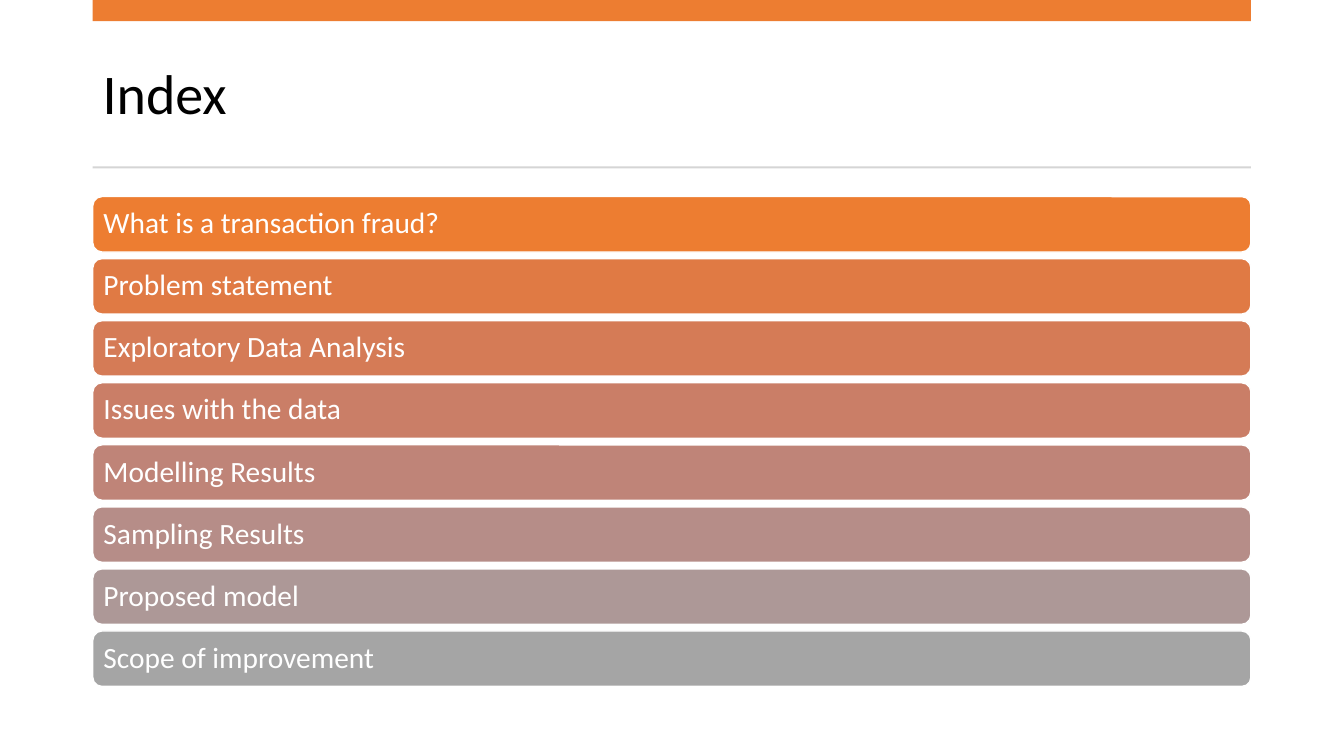
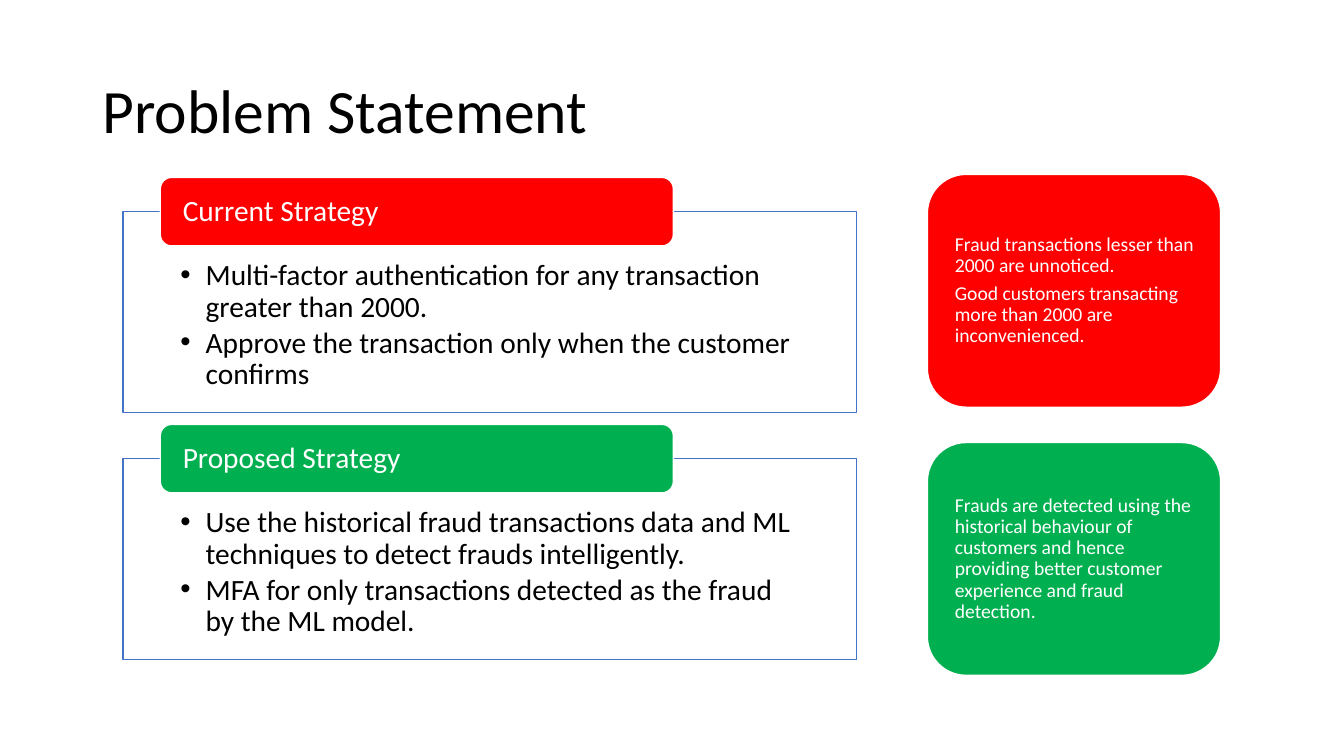
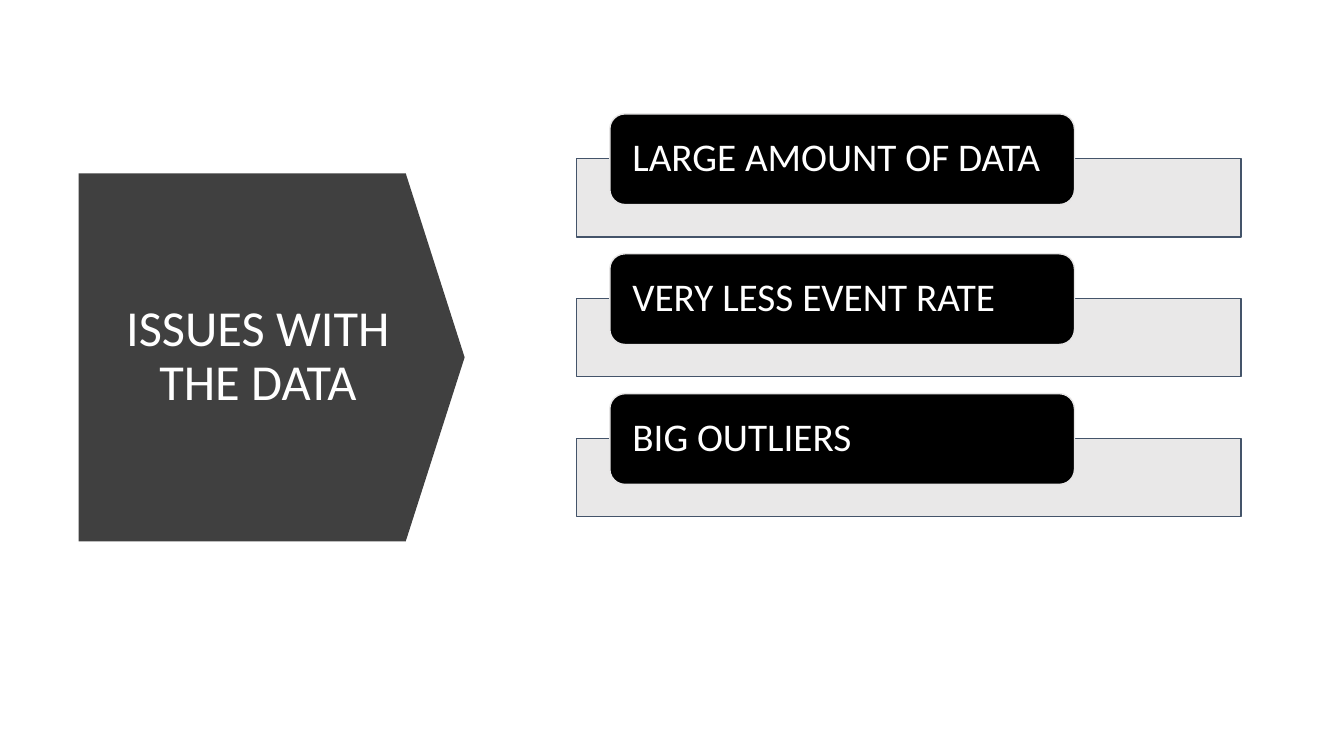
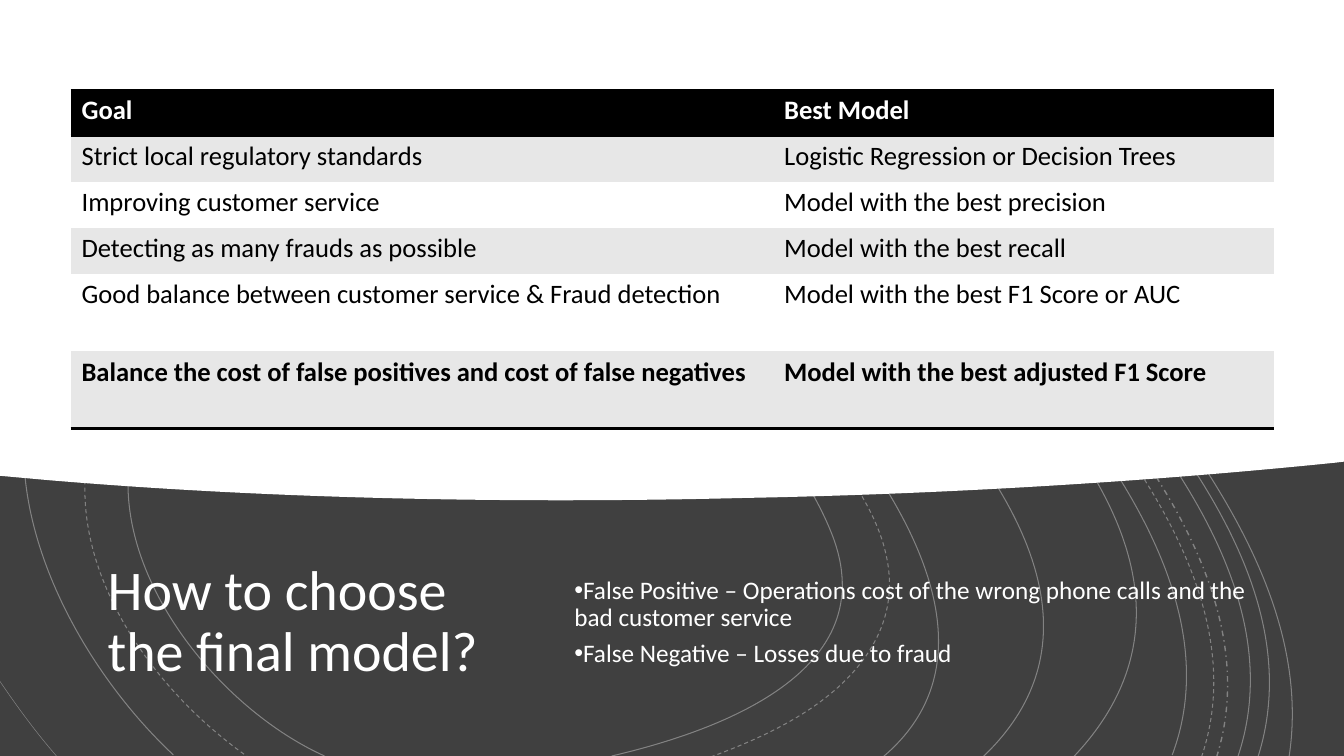
from lxml.etree import SubElement
from pptx import Presentation
from pptx.dml.color import RGBColor
from pptx.enum.dml import MSO_LINE
from pptx.enum.shapes import MSO_SHAPE
from pptx.enum.text import MSO_ANCHOR, PP_ALIGN
from pptx.oxml.ns import qn
from pptx.util import Pt

SCALE = 9144
FONT = "Calibri"
BLACK = RGBColor(0x00, 0x00, 0x00)
WHITE = RGBColor(0xFF, 0xFF, 0xFF)
CHARCOAL = RGBColor(0x40, 0x40, 0x40)
ORANGE = RGBColor(0xED, 0x7D, 0x31)
RULE_GRAY = RGBColor(0xD5, 0xD5, 0xD5)
RED = RGBColor(0xFF, 0x00, 0x00)
GREEN = RGBColor(0x00, 0xB0, 0x50)
BLUE = RGBColor(0x44, 0x72, 0xC4)
SLATE = RGBColor(0x44, 0x54, 0x6A)
PALE = RGBColor(0xE7, 0xE6, 0xE6)
BAND = RGBColor(0xE7, 0xE7, 0xE7)
NO_STYLE = "{2D5ABB26-0587-4C30-8999-92F81FD0307C}"
PAGE_WIDTH, PAGE_HEIGHT = 1333.33, 750

INDEX = [
    ("What is a transaction fraud?", ORANGE),
    ("Problem statement", RGBColor(0xE0, 0x7A, 0x44)),
    ("Exploratory Data Analysis", RGBColor(0xD5, 0x7B, 0x56)),
    ("Issues with the data", RGBColor(0xCA, 0x7E, 0x67)),
    ("Modelling Results", RGBColor(0xBF, 0x84, 0x78)),
    ("Sampling Results", RGBColor(0xB6, 0x8D, 0x88)),
    ("Proposed model", RGBColor(0xAD, 0x98, 0x97)),
    ("Scope of improvement", RGBColor(0xA5, 0xA5, 0xA5)),
]
STRATEGIES = [
    ("Current Strategy", RED, 176, 173,
     ["Multi-factor authentication for any transaction greater than 2000.",
      "Approve the transaction only when the customer confirms"],
     ["Fraud transactions lesser than 2000 are unnoticed.",
      "Good customers transacting more than 2000 are inconvenienced."]),
    ("Proposed Strategy", GREEN, 421, 439,
     ["Use the historical fraud transactions data and ML techniques to detect frauds intelligently.",
      "MFA for only transactions detected as the fraud by the ML model."],
     ["Frauds are detected using the historical behaviour of customers and hence "
      "providing better customer experience and fraud detection."]),
]
ISSUES = ["LARGE AMOUNT OF DATA", "VERY LESS EVENT RATE", "BIG OUTLIERS"]
MODELS = [
    ("Goal", "Best Model"),
    ("Strict local regulatory standards", "Logistic Regression or Decision Trees"),
    ("Improving customer service", "Model with the best precision"),
    ("Detecting as many frauds as possible", "Model with the best recall"),
    ("Good balance between customer service & Fraud detection", "Model with the best F1 Score or AUC"),
    ("Balance the cost of false positives and cost of false negatives", "Model with the best adjusted F1 Score"),
]
COLUMN_WIDTHS = [697, 497]
ROW_HEIGHTS = [45.6, 45.6, 45.6, 45.6, 76.8, 76.8]
COSTS = [
    "False Positive – Operations cost of the wrong phone calls and the bad customer service",
    "False Negative – Losses due to fraud",
]
SOLID, DASH, DASH_DOT = MSO_LINE.SOLID, MSO_LINE.DASH, MSO_LINE.DASH_DOT
CONTOURS = [
    (SOLID, 0.75, [(876, 751), (1025, 625), (835, 409), (738, 315), (649, 230), (536, 164), (412, 153),
                   (287, 141), (141, 208), (68, 307), (-36, 447), (60, 644), (172, 749)]),
    (SOLID, 0.75, [(607, 750), (710, 726), (880, 667), (825, 529), (773, 399), (615, 278), (480, 248),
                   (357, 220), (216, 281), (151, 391), (73, 524), (200, 695), (322, 750)]),
    (DASH, 0.75, [(705, 751), (765, 729), (835, 696), (867, 638), (906, 568), (864, 495), (817, 440),
                  (723, 329), (592, 227), (443, 209), (319, 195), (193, 267), (122, 368),
                  (27, 504), (127, 668), (246, 751)]),
    (SOLID, 0.75, [(975, 751), (1130, 604), (950, 413), (838, 306), (732, 206), (603, 120), (458, 92),
                   (284, 59), (111, 143), (0, 280)]),
    (SOLID, 0.38, [(0, 676), (19, 704), (37, 728), (56, 750)]),
    (SOLID, 0.75, [(1065, 751), (1213, 595), (1067, 422), (944, 307), (817, 189), (667, 87), (498, 44),
                   (298, -6), (152, 46), (0, 184)]),
    (SOLID, 0.75, [(1163, 749), (1226, 581), (1064, 401), (963, 287), (858, 170), (736, 66), (593, 0)]),
    (DASH, 0.75, [(1192, 751), (1248, 586), (1098, 415), (1000, 301), (897, 181), (777, 73), (637, 0)]),
    (DASH_DOT, 1, [(1207, 751), (1259, 585), (1113, 417), (1015, 302), (913, 183), (795, 75), (658, 0)]),
    (SOLID, 0.75, [(1228, 751), (1283, 588), (1144, 425), (1046, 312), (941, 190), (820, 79), (679, -1)]),
    (SOLID, 0.75, [(1248, 751), (1299, 590), (1167, 432), (1070, 318), (966, 195), (846, 83), (707, 0)]),
    (SOLID, 0.75, [(1279, 750), (1303, 590), (1182, 438), (1090, 322), (993, 200), (881, 87), (752, 0)]),
]
WAVE_EDGE = [(1325, 459), (1109, 481), (901, 491), (739, 494),
             (540, 499), (291, 497), (44, 476)]
WAVE_CORNERS = [(0, 472), (0, 0), (PAGE_WIDTH, 0), (PAGE_WIDTH, 458)]


def px(length):
    return round(length * SCALE)


def apply(target, values):
    for name, value in values.items():
        setattr(target, name, value)


def set_opacity(color_parent, percent):
    color = next(color_parent.iter(qn("a:srgbClr")))
    SubElement(color, qn("a:alpha"), val=str(percent * 1000))


def add_bullet(para, left):
    properties = para._p.get_or_add_pPr()
    properties.set("marL", str(px(left)))
    properties.set("indent", str(px(-25)))
    SubElement(properties, qn("a:buFont"), typeface="Arial")
    SubElement(properties, qn("a:buChar"), char="•")


def write(shape, lines, size, color, insets=(10, 5, 10, 5), align=PP_ALIGN.LEFT,
          anchor=MSO_ANCHOR.MIDDLE, after=0, bullet=None):
    frame = shape.text_frame
    left, top, right, bottom = map(px, insets)
    apply(frame, {"word_wrap": True, "vertical_anchor": anchor, "margin_left": left,
                  "margin_top": top, "margin_right": right, "margin_bottom": bottom})
    for number, line in enumerate(lines):
        para = frame.add_paragraph() if number else frame.paragraphs[0]
        apply(para, {"alignment": align, "line_spacing": 0.9, "space_after": Pt(after)})
        if bullet is not None:
            add_bullet(para, bullet)
        span = para.add_run()
        span.text = line
        apply(span.font, {"name": FONT, "size": Pt(size)})
        span.font.color.rgb = color


def add_block(page, kind, area, fill, line=None):
    shape = page.shapes.add_shape(kind, *map(px, area))
    shape.shadow.inherit = False
    shape.fill.solid()
    shape.fill.fore_color.rgb = fill
    if line is None:
        shape.line.fill.background()
    else:
        shape.line.color.rgb = line
        shape.line.width = Pt(1)
    return shape


def add_text(page, area, lines, size, color, **layout):
    write(page.shapes.add_textbox(*map(px, area)), lines, size, color, **layout)


def add_title(page, area, text, size, color=BLACK):
    add_text(page, area, [text], size, color)


def add_curve(page, nodes, corners=()):
    scaled = [(px(across), px(down)) for across, down in [*nodes, *corners]]
    builder = page.shapes.build_freeform(*scaled[0])
    builder.add_line_segments(scaled[1:], close=bool(corners))
    shape = builder.convert_to_shape()
    shape.shadow.inherit = False
    segments = list(shape._element.iter(qn("a:lnTo")))[:len(nodes) - 1]
    for first in range(0, len(segments), 3):
        bend = SubElement(segments[first].getparent(), qn("a:cubicBezTo"))
        segments[first].addprevious(bend)
        for segment in segments[first:first + 3]:
            bend.append(segment[0])
            segment.getparent().remove(segment)
    return shape


def build_index(page):
    add_title(page, (92, 37, 1149, 118), "Index", 40)
    add_block(page, MSO_SHAPE.RECTANGLE, (92, 0, 1149, 21), ORANGE)
    add_block(page, MSO_SHAPE.RECTANGLE, (92, 165, 1149, 2), RULE_GRAY)
    for number, (topic, color) in enumerate(INDEX):
        area = (92, 195 + number * 61.57, 1149, 55)
        bar = add_block(page, MSO_SHAPE.ROUNDED_RECTANGLE, area, color, WHITE)
        write(bar, [topic], 21, WHITE, insets=(8, 9, 9, 9))


def build_problem(page):
    add_title(page, (92, 40, 1150, 145), "Problem Statement", 44)
    for name, color, top, note_top, points, effects in STRATEGIES:
        panel = add_block(page, MSO_SHAPE.RECTANGLE, (122, top + 34, 728, 199), WHITE, BLUE)
        write(panel, points, 21, BLACK, insets=(57, 48, 56, 16),
              anchor=MSO_ANCHOR.TOP, after=3, bullet=25)
        label = add_block(page, MSO_SHAPE.ROUNDED_RECTANGLE, (159, top, 509, 68), color, WHITE)
        write(label, [name], 21, WHITE, insets=(19, 0, 19, 0))
        note = add_block(page, MSO_SHAPE.ROUNDED_RECTANGLE, (920, note_top, 291, 231), color, WHITE)
        write(note, effects, 14, WHITE, insets=(16, 8, 14, 8), after=5)


def build_issues(page):
    pointer = add_block(page, MSO_SHAPE.PENTAGON, (78, 172, 383, 365), CHARCOAL)
    pointer.adjustments[0] = 0.16
    write(pointer, ["ISSUES WITH THE DATA"], 36, WHITE, insets=(44, 5, 42, 5), align=PP_ALIGN.CENTER)
    for number, issue in enumerate(ISSUES):
        top = 113 + number * 138.8
        tray = add_block(page, MSO_SHAPE.RECTANGLE, (572, top + 44.5, 659, 77.5), PALE, SLATE)
        set_opacity(tray._element.spPr.find(qn("a:solidFill")), 90)
        label = add_block(page, MSO_SHAPE.ROUNDED_RECTANGLE, (605, top, 461, 90), BLACK, PALE)
        write(label, [issue], 28, WHITE, insets=(18, 0, 16, 0))


def add_border(cell, tag):
    border = SubElement(cell._tc.get_or_add_tcPr(), qn(tag), w=str(Pt(2)))
    SubElement(SubElement(border, qn("a:solidFill")), qn("a:srgbClr"), val=str(BLACK))


def add_model_table(page):
    area = (70, 89, sum(COLUMN_WIDTHS), sum(ROW_HEIGHTS))
    frame = page.shapes.add_table(len(MODELS), len(COLUMN_WIDTHS), *map(px, area))
    table = frame.table
    next(frame._element.iter(qn("a:tableStyleId"))).text = NO_STYLE
    for column, width in zip(table.columns, COLUMN_WIDTHS):
        column.width = px(width)
    last = len(MODELS) - 1
    borders = {0: ["a:lnT", "a:lnB"], last: ["a:lnB"]}
    for number, (texts, height) in enumerate(zip(MODELS, ROW_HEIGHTS)):
        table.rows[number].height = px(height)
        fill = BLACK if number == 0 else BAND if number % 2 else WHITE
        for cell, text in zip(table.rows[number].cells, texts):
            for tag in borders.get(number, []):
                add_border(cell, tag)
            cell.fill.solid()
            cell.fill.fore_color.rgb = fill
            apply(cell, {"margin_left": px(11), "margin_right": px(10),
                         "margin_top": px(5), "margin_bottom": px(5)})
            span = cell.text_frame.paragraphs[0].add_run()
            span.text = text
            apply(span.font, {"name": FONT, "size": Pt(19), "bold": number in (0, last)})
            span.font.color.rgb = BLACK if number else WHITE


def build_choice(page):
    add_block(page, MSO_SHAPE.RECTANGLE, (0, 0, PAGE_WIDTH, PAGE_HEIGHT), CHARCOAL)
    for dash, width, nodes in CONTOURS:
        contour = add_curve(page, nodes)
        contour.fill.background()
        contour.line.color.rgb = WHITE
        apply(contour.line, {"width": Pt(width), "dash_style": dash})
        set_opacity(contour.line._ln, 35)
    add_title(page, (97, 521, 432, 194), "How to choose the final model?", 40, WHITE)
    wave = add_curve(page, WAVE_EDGE, WAVE_CORNERS)
    wave.fill.solid()
    wave.fill.fore_color.rgb = WHITE
    wave.line.fill.background()
    add_text(page, (560, 521, 687, 194), COSTS, 18, WHITE, after=6, bullet=0)
    add_model_table(page)


def main():
    deck = Presentation()
    apply(deck, {"slide_width": px(PAGE_WIDTH), "slide_height": px(PAGE_HEIGHT)})
    for build in (build_index, build_problem, build_issues, build_choice):
        build(deck.slides.add_slide(deck.slide_layouts[6]))
    deck.save("out.pptx")


if __name__ == "__main__":
    main()
